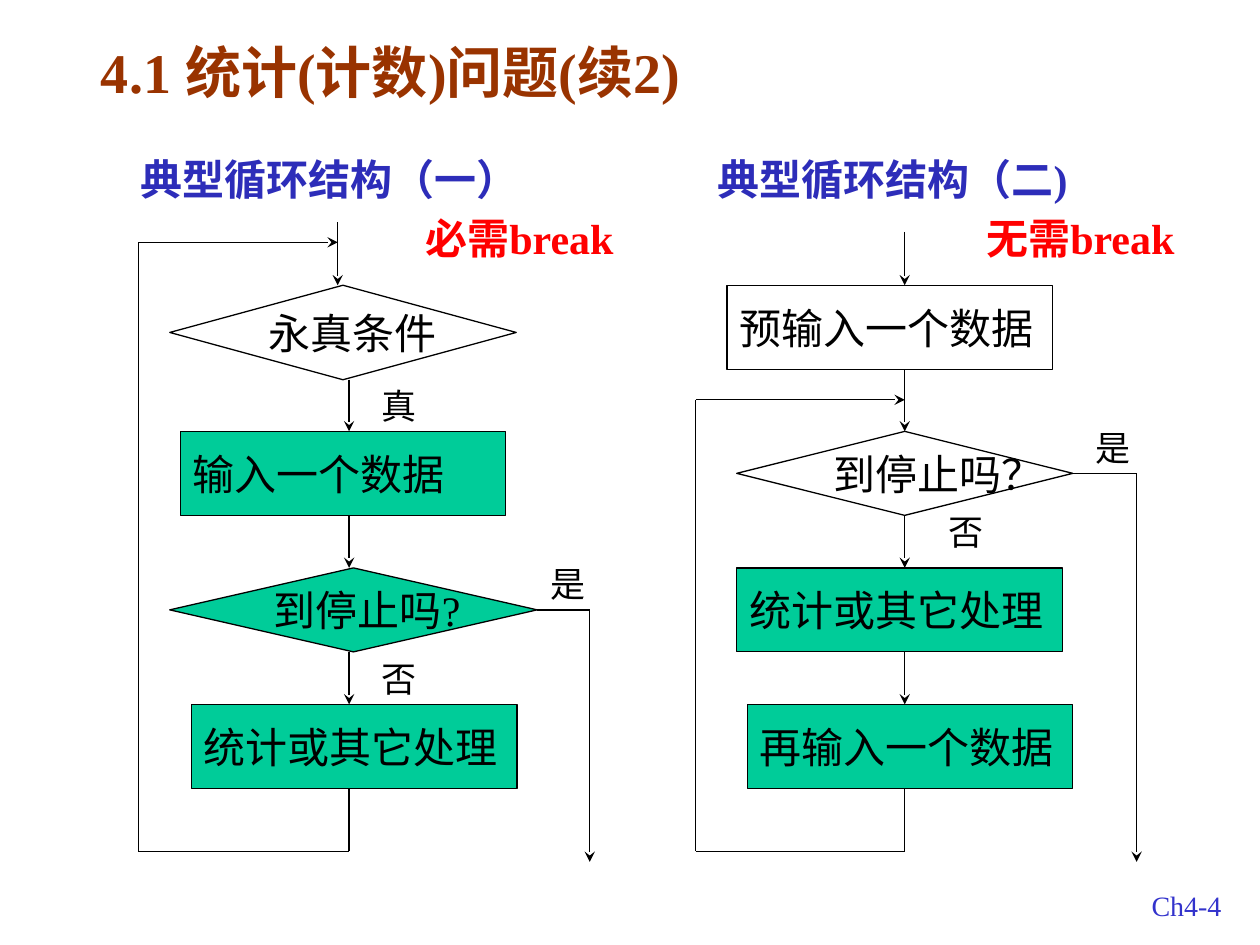
from lxml import etree
from pptx import Presentation
from pptx.dml.color import RGBColor
from pptx.enum.shapes import MSO_CONNECTOR, MSO_SHAPE
from pptx.enum.text import MSO_ANCHOR, MSO_AUTO_SIZE, PP_ALIGN
from pptx.oxml.ns import qn
from pptx.util import Pt

STRAIGHT = MSO_CONNECTOR.STRAIGHT
DIAMOND, RECTANGLE = MSO_SHAPE.DIAMOND, MSO_SHAPE.RECTANGLE
TOP, MIDDLE = MSO_ANCHOR.TOP, MSO_ANCHOR.MIDDLE
LEFT, CENTER = PP_ALIGN.LEFT, PP_ALIGN.CENTER
GROW, FIXED = MSO_AUTO_SIZE.SHAPE_TO_FIT_TEXT, MSO_AUTO_SIZE.NONE
SIDE_TOP, SIDE_BOTTOM, SIDE_RIGHT = 0, 2, 3

BLACK, GREEN, RED = "000000", "00CC99", "FF0000"
BROWN, NAVY, BLUE = "993300", "2D2DB9", "3333CC"

# Flowchart grid, in points
ROWS = [163, 246.5, 324.5, 402.5]
BOX_WIDTH, BOX_HEIGHT = 186, 48
BOTTOMS = [top + BOX_HEIGHT for top in ROWS]
LOOP_BOTTOM, EXIT_BOTTOM = 486.5, 492.5


def color(value):
    return RGBColor.from_string(value)


class Flowchart:
    font = "Times New Roman"
    line_width = 0.75

    def __init__(self, slide):
        self.slide = slide

    def fill_text(self, shape, text, size, text_color, bold=False, align=LEFT,
                  anchor=TOP, wrap=True, auto_size=FIXED):
        frame = shape.text_frame
        frame.word_wrap = wrap
        frame.auto_size = auto_size
        frame.vertical_anchor = anchor
        paragraph = frame.paragraphs[0]
        paragraph.alignment = align
        paragraph.space_before = Pt(0)
        run = paragraph.add_run()
        run.text = text
        run.font.name = self.font
        run.font.size = Pt(size)
        run.font.bold = bold
        run.font.color.rgb = color(text_color)

    def title(self, text, left, top, width, height):
        shape = self.slide.shapes.title
        shape.left, shape.top = Pt(left), Pt(top)
        shape.width, shape.height = Pt(width), Pt(height)
        self.fill_text(shape, text, 32, BROWN, bold=True, auto_size=GROW)

    def text(self, text, left, top, width, height, size, text_color, **style):
        shape = self.slide.shapes.add_textbox(
            Pt(left), Pt(top), Pt(width), Pt(height))
        self.fill_text(shape, text, size, text_color, **style)

    def heading(self, text, left, top, width, text_color):
        self.text(text, left, top, width, 36, 24, text_color,
                  bold=True, auto_size=GROW)

    def label(self, text, left, top):
        self.text(text, left, top, 18, 18, 20, BLACK,
                  anchor=MIDDLE, wrap=False)

    def node(self, kind, text, left, top, width=BOX_WIDTH, height=BOX_HEIGHT,
             fill=None):
        shape = self.slide.shapes.add_shape(
            kind, Pt(left), Pt(top), Pt(width), Pt(height))
        shape.shadow.inherit = False
        if fill:
            shape.fill.solid()
            shape.fill.fore_color.rgb = color(fill)
        else:
            shape.fill.background()
        shape.line.color.rgb = color(BLACK)
        shape.line.width = Pt(self.line_width)
        self.fill_text(shape, text, 24, BLACK, anchor=MIDDLE, wrap=False)
        return shape

    def line(self, start, end, arrow=False, begin=None, finish=None):
        """Draw a line; begin and finish are (shape, side) to join."""
        connector = self.slide.shapes.add_connector(
            STRAIGHT, *(Pt(value) for value in (*start, *end)))
        if begin:
            connector.begin_connect(*begin)
        if finish:
            connector.end_connect(*finish)
        connector.line.color.rgb = color(BLACK)
        connector.line.width = Pt(self.line_width)
        properties = connector.line._get_or_add_ln()
        if arrow:
            etree.SubElement(properties, qn("a:tailEnd"), type="stealth")
        etree.SubElement(properties.getparent(), qn("a:effectLst"))

    def route(self, *points, begin=None):
        """Draw a bent line whose last leg carries the arrowhead."""
        last = len(points) - 2
        for index, (start, end) in enumerate(zip(points, points[1:])):
            self.line(start, end, arrow=index == last,
                      begin=begin if index == 0 else None)


def draw_endless_loop(chart):
    entry, axis, loop, leave = 193, 199.5, 79, 337
    merge = 138.5

    # Steps
    chart.node(DIAMOND, "永真条件", 97, ROWS[0], 198, 54)
    chart.node(RECTANGLE, "输入一个数据", 103, ROWS[1], fill=GREEN)
    stop = chart.node(DIAMOND, "到停止吗?", 97, ROWS[2], 210, fill=GREEN)
    chart.node(RECTANGLE, "统计或其它处理", 109.5, ROWS[3], fill=GREEN)

    # Flow, loop back and exit
    chart.line((entry, 127), (entry, ROWS[0]), arrow=True)
    for start, end in zip([217, *BOTTOMS[1:]], ROWS[1:]):
        chart.line((axis, start), (axis, end), arrow=True)
    chart.route((axis, BOTTOMS[3]), (axis, LOOP_BOTTOM), (loop, LOOP_BOTTOM),
                (loop, merge), (entry, merge))
    chart.route((307, 348.5), (leave, 348.5), (leave, EXIT_BOTTOM),
                begin=(stop, SIDE_RIGHT))

    # Branch labels
    chart.label("真", 211, 222.5)
    chart.label("是", 307.5, 324.5)
    chart.label("否", 211, 378.5)


def draw_tested_loop(chart):
    axis, loop, leave = 517, 397.5, 649.5
    merge = 228.5

    # Steps
    chart.node(RECTANGLE, "预输入一个数据", 415.5, ROWS[0])
    stop = chart.node(DIAMOND, "到停止吗？", 421, ROWS[1], 192)
    chart.node(RECTANGLE, "统计或其它处理", 421, ROWS[2], fill=GREEN)
    chart.node(RECTANGLE, "再输入一个数据", 427, ROWS[3], fill=GREEN)

    # Flow, loop back and exit
    joins = [{}, {"finish": (stop, SIDE_TOP)},
             {"begin": (stop, SIDE_BOTTOM)}, {}]
    for start, end, join in zip([132.5, *BOTTOMS], ROWS, joins):
        chart.line((axis, start), (axis, end), arrow=True, **join)
    chart.route((axis, BOTTOMS[3]), (axis, LOOP_BOTTOM), (loop, LOOP_BOTTOM),
                (loop, merge), (axis, merge))
    chart.route((613, 270.5), (leave, 270.5), (leave, EXIT_BOTTOM),
                begin=(stop, SIDE_RIGHT))

    # Branch labels
    chart.label("是", 619, 246.5)
    chart.label("否", 535, 294.5)


def main():
    presentation = Presentation()
    presentation.slide_width, presentation.slide_height = Pt(720), Pt(540)
    slide = presentation.slides.add_slide(presentation.slide_layouts[5])
    chart = Flowchart(slide)

    # Title, headings and page mark
    chart.title("4.1 统计(计数)问题(续2)", 50.5, 18, 606, 46)
    chart.heading("典型循环结构（一）", 73, 84, 300, NAVY)
    chart.heading("典型循环结构（二)", 403, 84, 270, NAVY)
    chart.heading("必需break", 236, 118, 140, RED)
    chart.heading("无需break", 556.5, 118, 140, RED)
    chart.text("Ch4-4", 636, 504, 84, 26.5, 16, BLUE,
               align=CENTER, auto_size=GROW)

    draw_endless_loop(chart)
    draw_tested_loop(chart)
    presentation.save("out.pptx")


if __name__ == "__main__":
    main()
